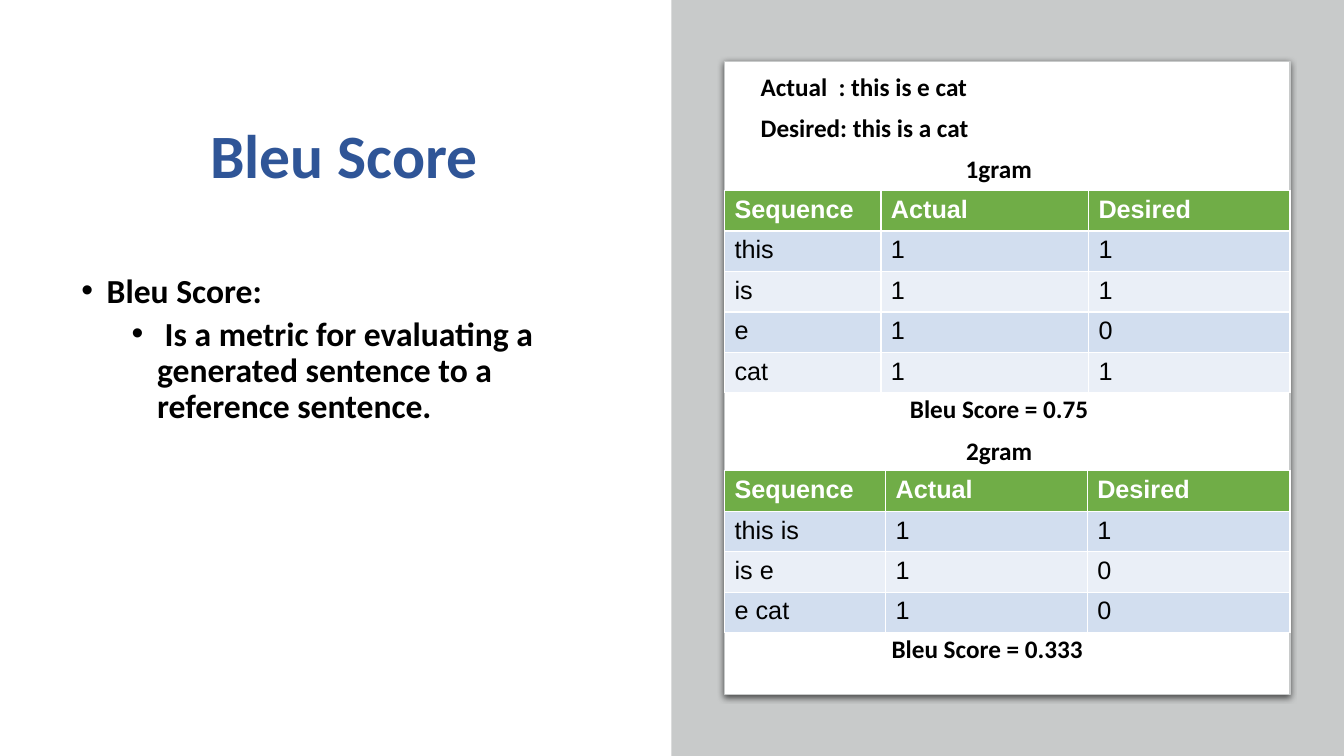
import pptx
import pptx.util
import pptx.oxml
import pptx.oxml.ns
import pptx.dml.color
import pptx.enum.shapes
import pptx.enum.text
from pptx.util import Cm

COLOURS = {
    "title": "2F5597",
    "text": "000000",
    "white": "FFFFFF",
    "panel": "C8CACA",
    "header": "70AD47",
    "odd": "D2DEEF",
    "even": "EAEFF7",
}
LEFT = pptx.enum.text.PP_ALIGN.LEFT
CENTER = pptx.enum.text.PP_ALIGN.CENTER
SHAPES = pptx.enum.shapes.MSO_SHAPE
CARD_LEFT, CARD_WIDTH = 18.26, 14.25
ROW_HEIGHT = 1.02


def colour(name):
    return pptx.dml.color.RGBColor.from_string(COLOURS[name])


def format_runs(para, size, font, colour_name, bold):
    for span in para.runs:
        span.font.size = pptx.util.Pt(size)
        span.font.name = font
        span.font.bold = bold
        span.font.color.rgb = colour(colour_name)


def add_text(page, place, lines, size=18, colour_name="text", gap=10):
    box = page.shapes.add_textbox(*map(Cm, place))
    frame = box.text_frame
    frame.word_wrap = True
    for index, (text, align) in enumerate(lines):
        para = frame.add_paragraph() if index else frame.paragraphs[0]
        para.text = text
        para.alignment = align
        para.line_spacing = 0.9
        if index:
            para.space_before = pptx.util.Pt(gap)
        format_runs(para, size, "Calibri", colour_name, True)
    return box


def add_bullet(para, level, margin):
    para.level = level
    properties = para._p.get_or_add_pPr()
    properties.set("marL", str(Cm(margin)))
    properties.set("indent", str(-Cm(0.64)))
    namespace = pptx.oxml.ns.nsdecls("a")
    for xml in (
        f'<a:buClr {namespace}><a:srgbClr val="{COLOURS["text"]}"/></a:buClr>',
        f'<a:buFont {namespace} typeface="Arial"/>',
        f'<a:buChar {namespace} char="•"/>',
    ):
        properties.append(pptx.oxml.parse_xml(xml))


def add_block(page, kind, place, fill, line=None):
    block = page.shapes.add_shape(kind, *map(Cm, place))
    block.shadow.inherit = False
    block.fill.solid()
    block.fill.fore_color.rgb = colour(fill)
    if line:
        block.line.color.rgb = colour(line)
        block.line.width = pptx.util.Pt(0.75)
    else:
        block.line.fill.background()
    return block


def add_shadow(block):
    effects = block._element.spPr.find(pptx.oxml.ns.qn("a:effectLst"))
    effects.append(pptx.oxml.parse_xml(
        f'<a:outerShdw {pptx.oxml.ns.nsdecls("a")} blurRad="57150" '
        'dist="19050" dir="5400000" algn="ctr" rotWithShape="0">'
        f'<a:srgbClr val="{COLOURS["text"]}"><a:alpha val="63000"/></a:srgbClr>'
        '</a:outerShdw>'))


def add_score_table(page, top, widths, records):
    rows = [("Sequence", "Actual", "Desired"), *records]
    table = page.shapes.add_table(
        len(rows), len(widths), Cm(CARD_LEFT), Cm(top),
        Cm(CARD_WIDTH), Cm(ROW_HEIGHT * len(rows))).table
    for column, width in zip(table.columns, widths):
        column.width = Cm(width)
    for row_index, values in enumerate(rows):
        table.rows[row_index].height = Cm(ROW_HEIGHT)
        is_header = row_index == 0
        fill = "header" if is_header else "odd" if row_index % 2 else "even"
        for column_index, value in enumerate(values):
            cell = table.cell(row_index, column_index)
            cell.text_frame.text = value
            cell.fill.solid()
            cell.fill.fore_color.rgb = colour(fill)
            format_runs(cell.text_frame.paragraphs[0], 18, "Arial",
                        "white" if is_header else "text", is_header)


def main():
    deck = pptx.Presentation()
    deck.slide_width, deck.slide_height = Cm(33.87), Cm(19.05)
    page = deck.slides.add_slide(deck.slide_layouts[6])

    title = add_text(page, (1.8, 1.75, 13.74, 4.5),
                     [("Bleu Score", CENTER)], 44, "title")
    title.text_frame.vertical_anchor = pptx.enum.text.MSO_ANCHOR.MIDDLE
    title.text_frame.paragraphs[0].space_after = pptx.util.Pt(6)

    definition = add_text(page, (1.8, 6.78, 13.74, 10.52), [
        ("Bleu Score:", LEFT),
        (" Is a metric for evaluating a generated sentence "
         "to a reference sentence.", LEFT),
    ], 24, gap=5)
    for level, para in enumerate(definition.text_frame.paragraphs):
        add_bullet(para, level, 0.64 + 1.27 * level)

    add_block(page, SHAPES.RECTANGLE, (16.92, 0, 16.95, 19.05), "panel")
    card = add_block(page, SHAPES.ROUNDED_RECTANGLE,
                     (CARD_LEFT, 1.55, CARD_WIDTH, 15.95), "white", "panel")
    card.adjustments[0] = 0
    add_shadow(card)

    add_text(page, (18.92, 1.75, 12.5, 3.05), [
        ("Actual  : this is e cat", LEFT),
        ("Desired: this is a cat", LEFT),
        ("1gram", CENTER),
    ])
    add_score_table(page, 4.8, (3.94, 5.23, 5.08), [
        ("this", "1", "1"),
        ("is", "1", "1"),
        ("e", "1", "0"),
        ("cat", "1", "1"),
    ])
    add_text(page, (21.79, 9.88, 6.78, 2),
             [("Bleu Score = 0.75", CENTER), ("2gram", CENTER)])
    add_score_table(page, 11.86, (4.06, 5.08, 5.11), [
        ("this is", "1", "1"),
        ("is e", "1", "0"),
        ("e cat", "1", "0"),
    ])
    add_text(page, (21.49, 15.93, 6.78, 0.94), [("Bleu Score = 0.333", CENTER)])

    deck.save("out.pptx")


if __name__ == "__main__":
    main()
